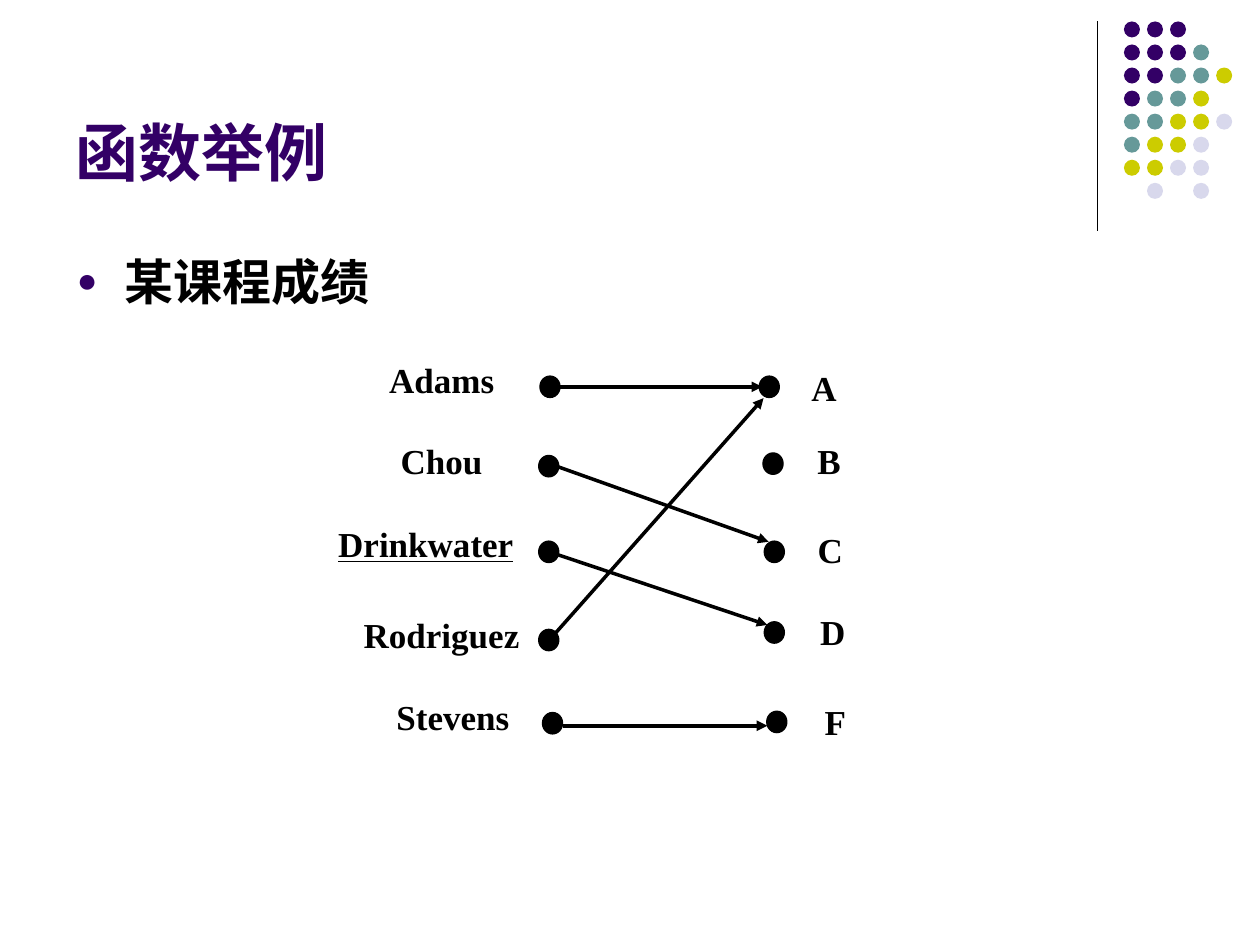
from lxml.etree import SubElement
from pptx import Presentation
from pptx.dml.color import RGBColor
from pptx.enum.shapes import MSO_CONNECTOR as LINE, MSO_SHAPE as SHAPE
from pptx.enum.text import MSO_ANCHOR as ANCHOR, MSO_AUTO_SIZE as FIT, PP_ALIGN as ALIGN
from pptx.oxml.ns import qn
from pptx.util import Inches, Pt

COLORS = {"black": "000000", "purple": "330066", "teal": "669999",
          "lime": "CCCC00", "pale": "D8D8EC"}
DOT_COLORS = {"P": "purple", "T": "teal", "L": "lime", "W": "pale"}
DOT_ROWS = ["PPP", "PPPT", "PPTTL", "PTTL", "TTLLW", "TLLW", "LLWW", " W W"]
COLUMNS, ROWS = 100, 75

STUDENTS = [("Adams", 29.1, 27.3, 11.9), ("Chou", 29.1, 33.7, 11.9),
            ("Drinkwater", 24, 40.3, 19.6), ("Rodriguez", 26.8, 47.5, 16.5),
            ("Stevens", 28.7, 54, 14.5)]
GRADES = [("A", 62, 27.9), ("B", 62.4, 33.7), ("C", 62.5, 40.8),
          ("D", 62.7, 47.3), ("F", 62.9, 54.4)]
NODES = [(42.8, 29.9), (42.7, 36.2), (42.7, 43), (42.7, 50), (43, 56.6),
         (60.2, 29.9), (60.5, 36), (60.6, 43), (60.6, 49.4), (60.8, 56.5)]
ARROWS = [((43.5, 30.7), (60.5, 30.7), None), ((43.6, 36.8), (61, 43), None),
          ((43.6, 43.8), (60.9, 49.6), None), ((43.6, 50.8), (60.6, 31.6), "oval"),
          ((44.7, 57.6), (60.9, 57.6), None)]


def color(name):
    return RGBColor.from_string(COLORS[name])


def write(para, text, size=20, ink="black", align=None, underline=None):
    para.alignment = align
    span = para.add_run()
    span.text = text
    font = span.font
    font.name, font.size, font.bold = "Times New Roman", Pt(size), True
    font.underline = underline
    font.color.rgb = color(ink)


class Slide:
    def __init__(self, deck):
        self.page = deck.slides.add_slide(deck.slide_layouts[1])
        self.column = deck.slide_width / COLUMNS
        self.row = deck.slide_height / ROWS
        self.canvas = self.page.shapes

    def place(self, left, top, width, height):
        return (round(left * self.column), round(top * self.row),
                round(width * self.column), round(height * self.row))

    def start_group(self):
        self.canvas = self.page.shapes.add_group_shape().shapes

    def placeholder(self, index, area, anchor):
        box = self.page.placeholders[index]
        box.left, box.top, box.width, box.height = self.place(*area)
        frame = box.text_frame
        frame.auto_size, frame.vertical_anchor = FIT.NONE, anchor
        return frame.paragraphs[0]

    def title(self, text, area):
        para = self.placeholder(0, area, ANCHOR.BOTTOM)
        write(para, text, size=36, ink="purple", align=ALIGN.LEFT)

    def bullet(self, text, area):
        para = self.placeholder(1, area, ANCHOR.TOP)
        para.line_spacing, para.space_before = 1.2, Pt(0)
        props = para._p.get_or_add_pPr()
        props.set("marL", str(Inches(0.38)))
        props.set("indent", str(-Inches(0.38)))
        tint = SubElement(props, qn("a:buClr"))
        SubElement(tint, qn("a:srgbClr"), val=COLORS["purple"])
        SubElement(props, qn("a:buSzPct"), val="70000")
        SubElement(props, qn("a:buChar"), char="●")
        write(para, text, size=28, align=ALIGN.JUSTIFY)

    def dot(self, kind, area, ink, outlined=False):
        dot = self.canvas.add_shape(kind, *self.place(*area))
        dot.shadow.inherit = False
        dot.fill.solid()
        dot.fill.fore_color.rgb = color(ink)
        if outlined:
            dot.line.color.rgb = color(ink)
            dot.line.width = Pt(0.75)
        else:
            dot.line.fill.background()
        return dot

    def node(self, left, top):
        self.dot(SHAPE.FLOWCHART_CONNECTOR, (left, top, 1.7, 1.6), "black", True).rotation = 90

    def label(self, text, left, top, width=6.8):
        box = self.canvas.add_shape(SHAPE.ROUNDED_RECTANGULAR_CALLOUT,
                                    *self.place(left, top, width, 5.7))
        for index, value in enumerate((-0.19, 0.42, 0.17)):
            box.adjustments[index] = value
        box.shadow.inherit = False
        box.fill.background()
        box.line.fill.background()
        frame = box.text_frame
        frame.word_wrap, frame.vertical_anchor = True, ANCHOR.MIDDLE
        write(frame.paragraphs[0], text, align=ALIGN.CENTER,
              underline=True if text == "Drinkwater" else None)

    def line(self, start, end, width, head=None, tail=None):
        line = self.canvas.add_connector(LINE.STRAIGHT, *self.place(*start, *end))
        line.line.color.rgb = color("black")
        line.line.width = Pt(width)
        for tag, kind in (("a:headEnd", head), ("a:tailEnd", tail)):
            if kind:
                SubElement(line.line._get_or_add_ln(), qn(tag), type=kind)
        SubElement(line._element.spPr, qn("a:effectLst"))


def main():
    deck = Presentation()
    deck.slide_width, deck.slide_height = Inches(10), Inches(7.5)
    slide = Slide(deck)

    slide.line((87.1, 1.7), (87.1, 18.3), 0.75)
    slide.start_group()
    for row, codes in enumerate(DOT_ROWS):
        for column, code in enumerate(codes):
            if code in DOT_COLORS:
                area = (89.2 + 1.83 * column, 1.7 + 1.83 * row, 1.27, 1.27)
                slide.dot(SHAPE.OVAL, area, DOT_COLORS[code])

    slide.title("函数举例", (5, 1.3, 82.5, 14.2))
    slide.bullet("某课程成绩", (5.1, 18.5, 91.3, 8.8))

    slide.start_group()
    for start, end, head in ARROWS:
        slide.line(start, end, 2, head, "triangle")
    for node in NODES:
        slide.node(*node)
    for label in STUDENTS + GRADES:
        slide.label(*label)

    deck.save("out.pptx")


if __name__ == "__main__":
    main()
